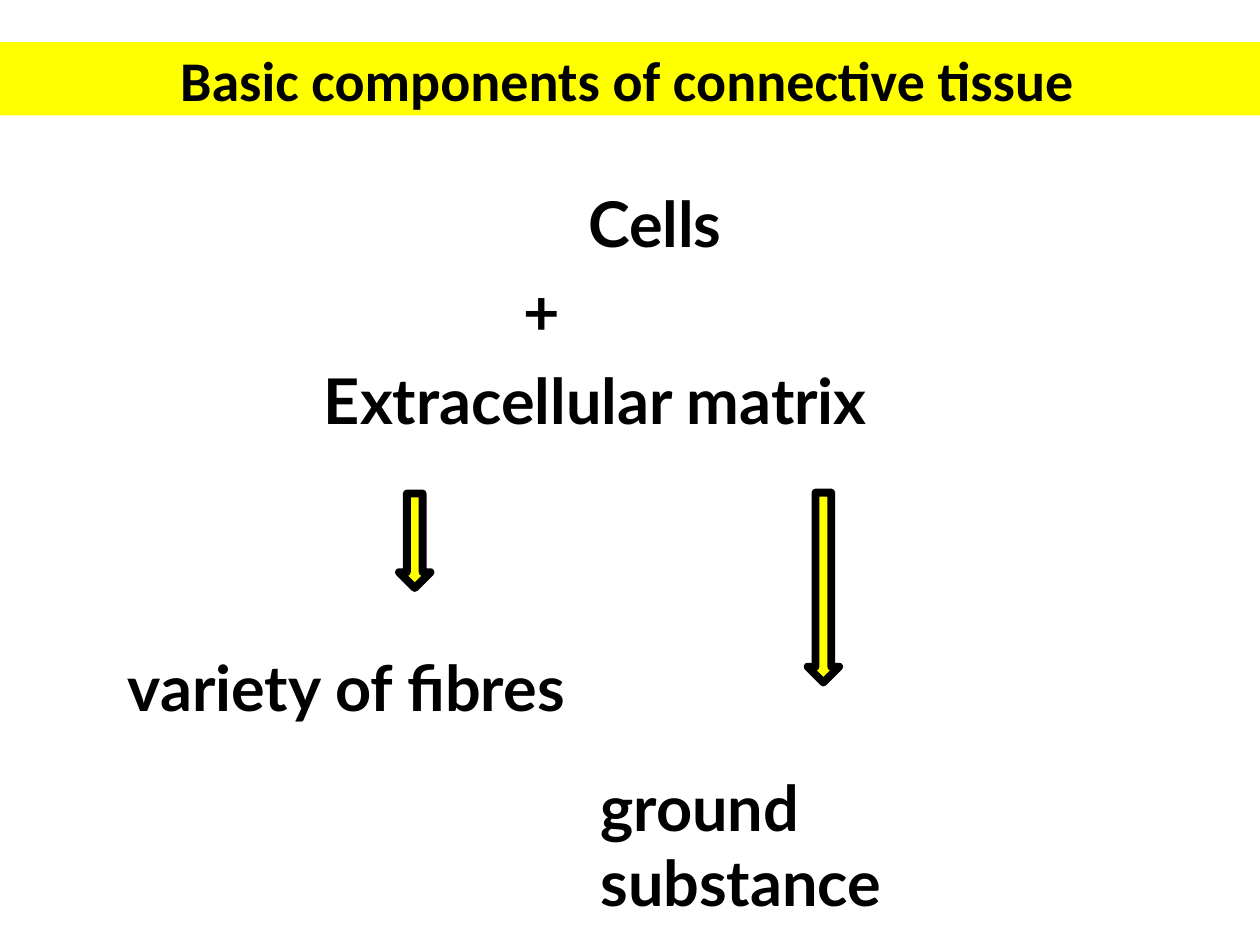
from pptx import Presentation
from pptx.dml.color import RGBColor
from pptx.enum.shapes import MSO_SHAPE
from pptx.enum.text import MSO_ANCHOR, PP_ALIGN
from pptx.util import Pt

COLORS = {"text": "000000", "accent": "FFFF00"}

TITLE = "Basic components of connective tissue"
TITLE_BOX = (-3, 24, 723, 42)

# (left, top, width, height), then (text, left indent) for each line
TEXTS = [
    ((66, 102, 654, 189), [("Cells", 263), ("+", 226), ("Extracellular matrix", 112)]),
    ((66, 367, 360, 51), [("variety of fibres", 0)]),
    ((336, 435.5, 286.5, 94), [("ground substance", 0)]),
]
ARROWS = [(228, 282, 18, 54), (461.5, 281.5, 18, 108.5)]


def rgb(name):
    return RGBColor.from_string(COLORS[name])


def fill(sp):
    sp.fill.solid()
    sp.fill.fore_color.rgb = rgb("accent")


def set_font(p, name, size):
    p.font.name = name
    p.font.size = Pt(size)
    p.font.bold = True
    p.font.color.rgb = rgb("text")


def add_title(slide):
    sp = slide.shapes.title
    sp.left, sp.top, sp.width, sp.height = map(Pt, TITLE_BOX)
    fill(sp)
    tf = sp.text_frame
    tf.text = TITLE
    tf.vertical_anchor = MSO_ANCHOR.MIDDLE
    p = tf.paragraphs[0]
    p.alignment = PP_ALIGN.CENTER
    set_font(p, "Calibri", 32)


def add_text(slide, box, lines):
    tf = slide.shapes.add_textbox(*map(Pt, box)).text_frame
    tf.word_wrap = True
    for i, (text, indent) in enumerate(lines):
        p = tf.add_paragraph() if i else tf.paragraphs[0]
        p.text = text
        if indent:
            p._p.get_or_add_pPr().set("marL", str(Pt(indent)))
        if i:
            p.space_before = Pt(7.2)
        set_font(p, "Lato", 36)


def add_arrow(slide, box):
    sp = slide.shapes.add_shape(MSO_SHAPE.DOWN_ARROW, *map(Pt, box))
    sp.shadow.inherit = False
    fill(sp)
    sp.line.color.rgb = rgb("text")
    sp.line.width = Pt(4.5)


def main():
    prs = Presentation()
    prs.slide_width, prs.slide_height = Pt(720), Pt(540)
    slide = prs.slides.add_slide(prs.slide_layouts[5])
    add_title(slide)
    for box, lines in TEXTS:
        add_text(slide, box, lines)
    for box in ARROWS:
        add_arrow(slide, box)
    prs.save("out.pptx")


if __name__ == "__main__":
    main()
